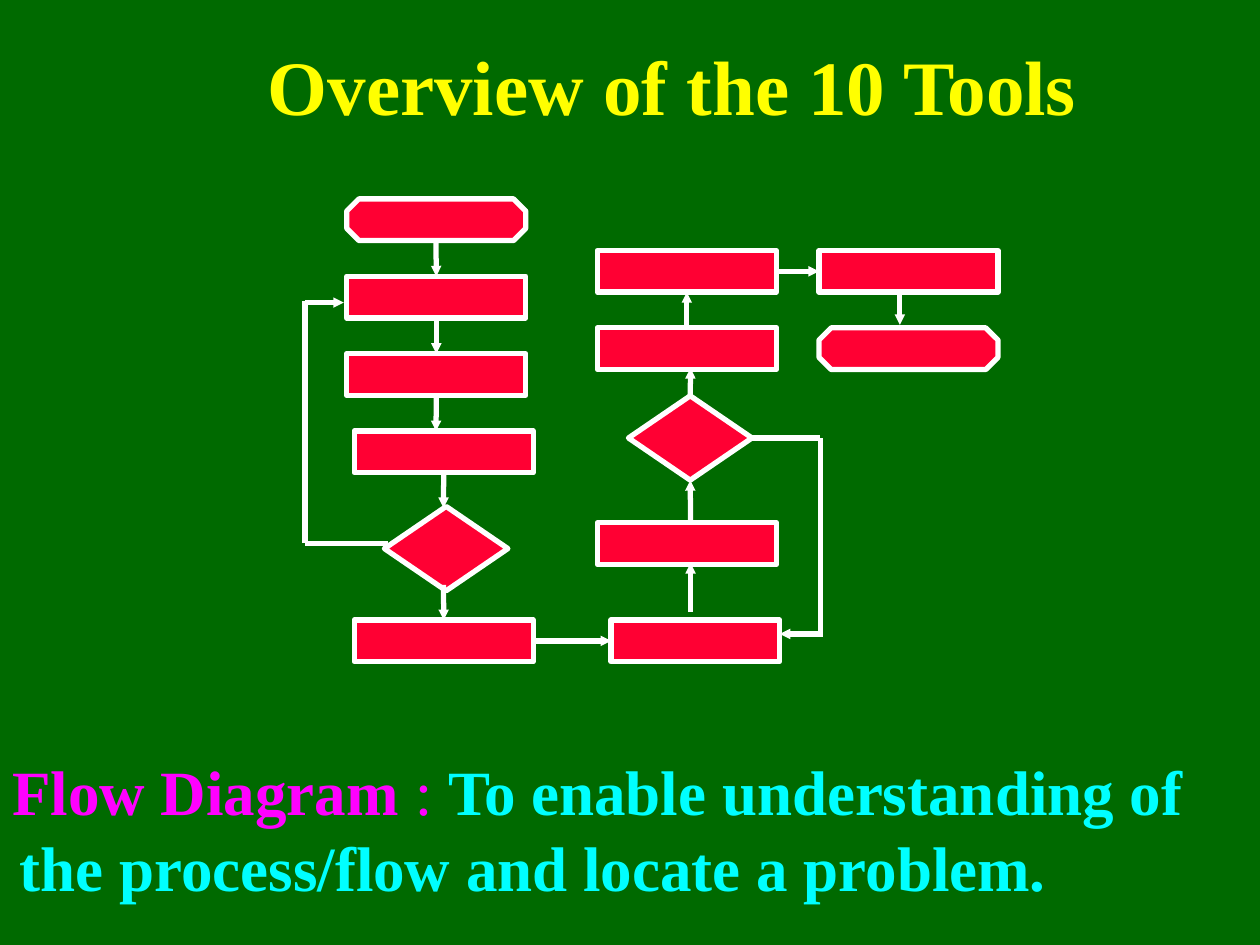
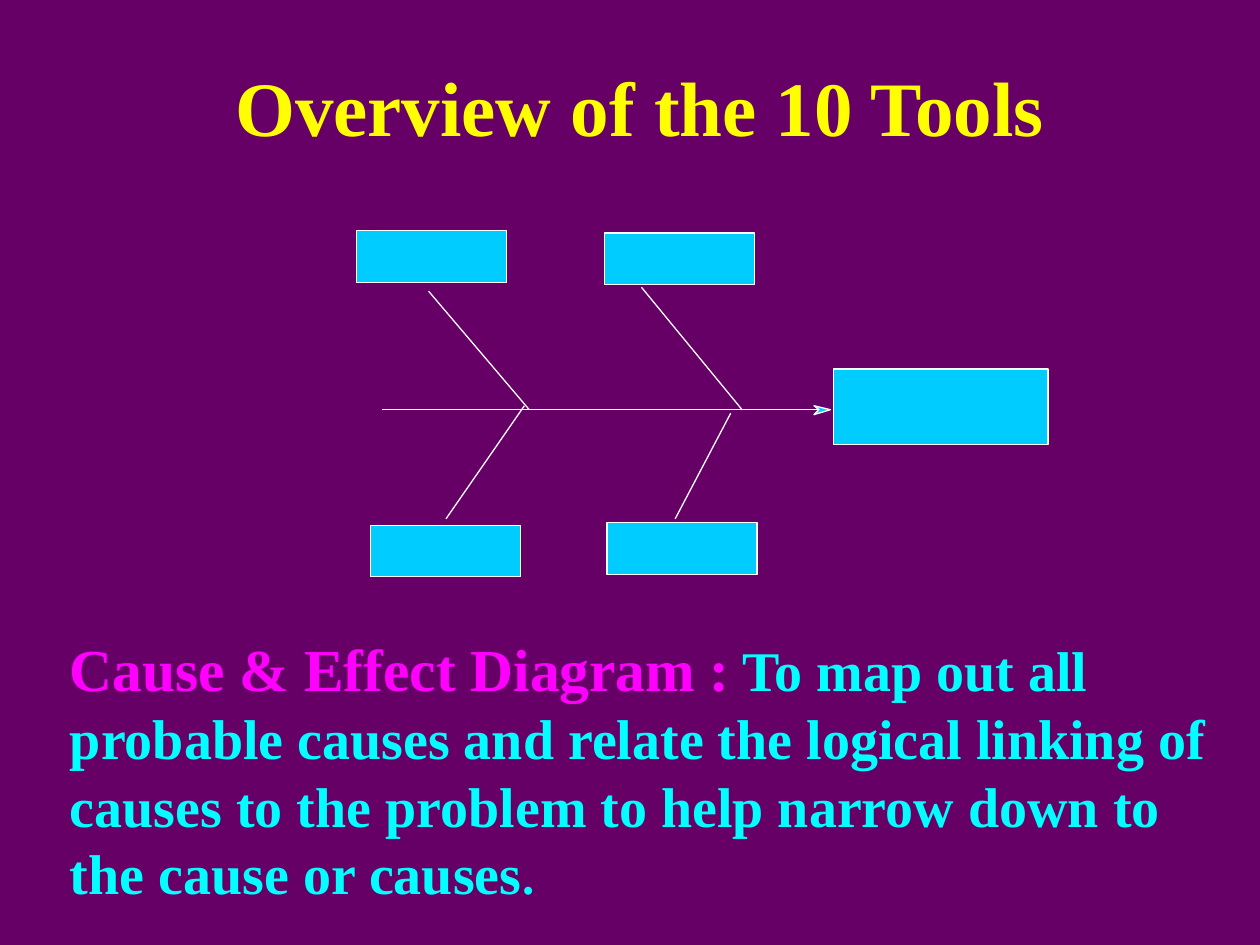
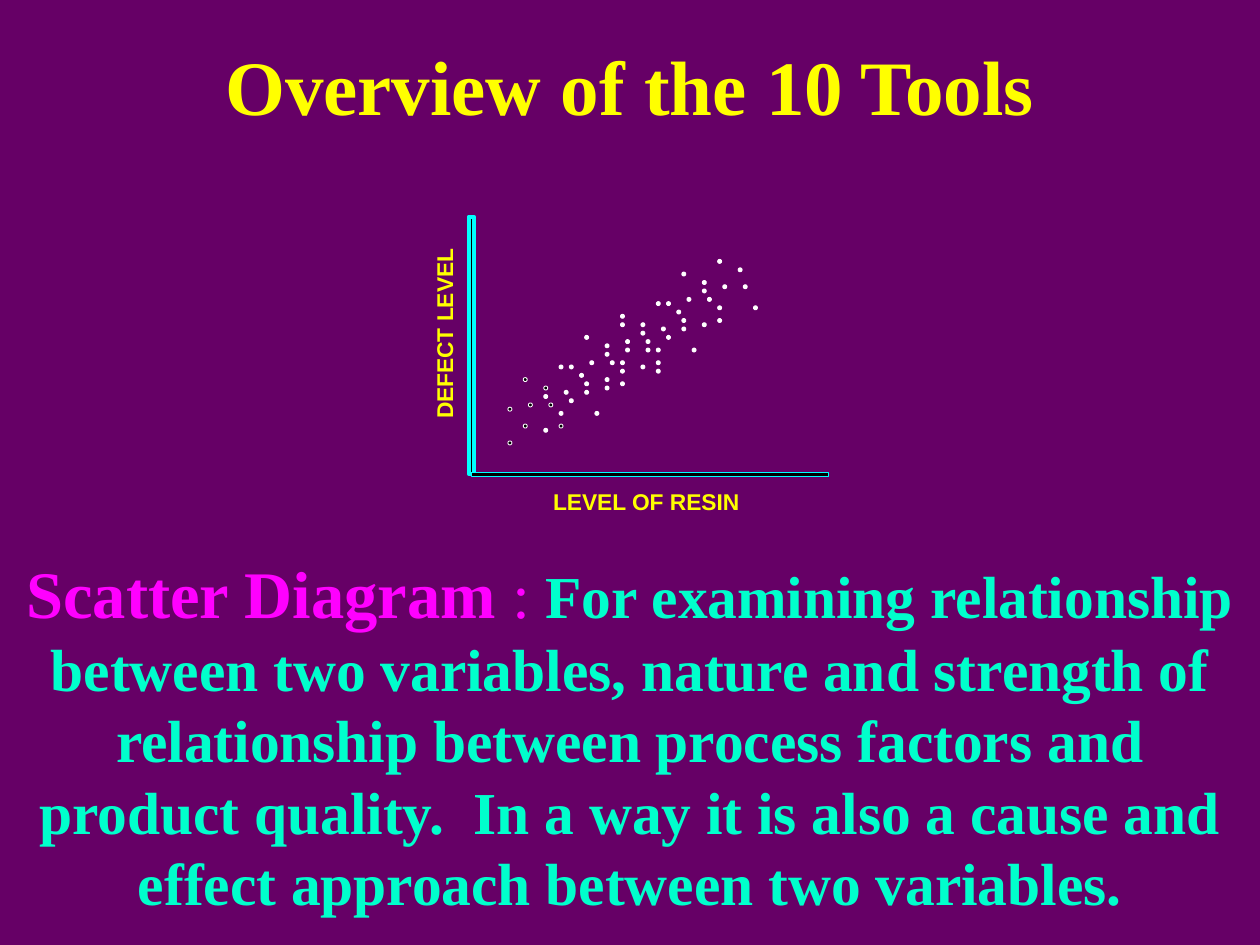
from pptx import Presentation
from pptx.dml.color import RGBColor
from pptx.enum.shapes import MSO_CONNECTOR as Connector, MSO_SHAPE as Preset
from pptx.enum.text import MSO_AUTO_SIZE as AutoSize, PP_ALIGN as Align
from pptx.oxml.ns import qn
from pptx.util import Cm, Pt
from lxml.etree import SubElement

COLORS = {
    "green": "006A00", "purple": "660066", "yellow": "FFFF00", "magenta": "FF00FF",
    "cyan": "00FFFF", "mint": "00FFCC", "red": "FF0033", "sky": "00CCFF",
    "white": "FFFFFF", "black": "000000",
}
SERIF, SANS = "Times New Roman", "Arial"
BOX_SIZE = (3.61, 0.84)
DIAMOND_SIZE = (2.49, 1.7)
ROW_PITCH = 1.56

DOT_CLUSTER = [(10, 4), (0, 8), (3, 4), (0, 0), (3, 15), (8, 9), (7, 13), (4, 9)]
CLUSTER_OFFSETS = [(0, 0), (7, 3), (12, 10), (19, 13), (19, 15), (26, 18), (31, 25), (38, 28)]


def rgb(name):
    """Return the named colour."""
    return RGBColor.from_string(COLORS[name])


def add_slide(presentation, background):
    """Add a blank slide with a plain background."""
    slide = presentation.slides.add_slide(presentation.slide_layouts[6])
    slide.background.fill.solid()
    slide.background.fill.fore_color.rgb = rgb(background)
    return slide


def add_text(slide, box, runs, align=Align.LEFT, font=SERIF, inset=(0.25, 0.13),
             indent=(0, 0), space_after=0, wrap=True):
    """Add a one-paragraph text box; runs are (text, size, colour, bold)."""
    shape = slide.shapes.add_textbox(*map(Cm, box))
    frame = shape.text_frame
    frame.word_wrap = wrap
    frame.auto_size = AutoSize.SHAPE_TO_FIT_TEXT
    frame.margin_left = frame.margin_right = Cm(inset[0])
    frame.margin_top = frame.margin_bottom = Cm(inset[1])
    paragraph = frame.paragraphs[0]
    paragraph.alignment = align
    paragraph.space_after = Pt(space_after)
    properties = paragraph._p.get_or_add_pPr()
    properties.set("marL", str(Cm(indent[0])))
    properties.set("indent", str(Cm(indent[1])))
    paragraph.font.name = font
    for text, size, color, bold in runs:
        run = paragraph.add_run()
        run.text = text
        run.font.size = Pt(size)
        run.font.color.rgb = rgb(color)
        run.font.bold = bold
    return shape


def add_title(slide, left=0, top=0.64, width=25.4, indent=(0, 0)):
    """Add the title that all slides share."""
    add_text(slide, (left, top, width, 2.13), [("Overview of the 10 Tools", 44, "yellow", True)],
             Align.CENTER, indent=indent, space_after=6)


def paint(shape, fill, line, width):
    """Give a shape a flat fill and outline."""
    shape.shadow.inherit = False
    shape.fill.solid()
    shape.fill.fore_color.rgb = rgb(fill)
    shape.line.color.rgb = rgb(line)
    shape.line.width = Pt(width)


def add_box(slide, preset, box, fill, line="white", width=0.75):
    """Add a painted preset shape."""
    shape = slide.shapes.add_shape(preset, *map(Cm, box))
    paint(shape, fill, line, width)
    return shape


def add_line(slide, begin, end, width=0.75, arrow=False):
    """Add a line; each end is a point or a (shape, side) pair."""
    joins = [not isinstance(point[0], (int, float)) for point in (begin, end)]
    start, stop = [(0, 0) if joined else point for joined, point in zip(joins, (begin, end))]
    line = slide.shapes.add_connector(Connector.STRAIGHT, *map(Cm, start + stop))
    if joins[0]:
        line.begin_connect(*begin)
    if joins[1]:
        line.end_connect(*end)
    line.line.color.rgb = rgb("white")
    line.line.width = Pt(width)
    if arrow:
        SubElement(line.line._get_or_add_ln(), qn("a:tailEnd"), type="triangle", w="sm", len="sm")
    SubElement(line._element.spPr, qn("a:effectLst"))


def add_flow_boxes(slide):
    """Draw the flow chart's boxes and return them by name."""
    def row(top, number):
        return top + number * ROW_PITCH

    layout = {
        "start": (Preset.OCTAGON, 6.99, 4.01, BOX_SIZE),
        "first": (Preset.RECTANGLE, 6.99, row(4.01, 1), BOX_SIZE),
        "second": (Preset.RECTANGLE, 6.99, row(4.01, 2), BOX_SIZE),
        "third": (Preset.RECTANGLE, 7.14, row(4.01, 3), BOX_SIZE),
        "left check": (Preset.DIAMOND, 7.75, 10.21, DIAMOND_SIZE),
        "fourth": (Preset.RECTANGLE, 7.14, 12.5, BOX_SIZE),
        "fifth": (Preset.RECTANGLE, 12.32, 12.5, (3.4, 0.84)),
        "sixth": (Preset.RECTANGLE, 12.04, 10.54, BOX_SIZE),
        "right check": (Preset.DIAMOND, 12.67, 7.98, DIAMOND_SIZE),
        "seventh": (Preset.RECTANGLE, 12.04, row(5.05, 1), BOX_SIZE),
        "eighth": (Preset.RECTANGLE, 12.04, 5.05, BOX_SIZE),
        "ninth": (Preset.RECTANGLE, 16.51, 5.05, BOX_SIZE),
        "finish": (Preset.OCTAGON, 16.51, row(5.05, 1), BOX_SIZE),
    }
    boxes = {name: add_box(slide, preset, (left, top, *size), "red", width=3)
             for name, (preset, left, top, size) in layout.items()}
    for name in ("start", "finish"):
        boxes[name].adjustments[0] = 0.293
    return boxes


def build_flow_slide(presentation):
    """Build the flow diagram slide."""
    slide = add_slide(presentation, "green")
    add_title(slide, width=25.2, indent=(1.12, 0.79))
    add_text(slide, (0, 15.04, 25.4, 3.3), [
        ("Flow Diagram", 36, "magenta", True),
        (" : ", 36, "magenta", False),
        ("To enable understanding of the process/flow and locate a problem.", 36, "cyan", True),
    ], indent=(0.15, -0.15))
    boxes = add_flow_boxes(slide)
    top, left, bottom, right = range(4)
    arrows = [
        ((8.79, 4.88), (boxes["first"], top)),
        ((boxes["first"], bottom), (boxes["second"], top)),
        ((boxes["second"], bottom), (8.79, 8.69)),
        ((boxes["third"], bottom), (8.94, 10.24)),
        ((8.94, 11.79), (boxes["fourth"], top)),
        ((boxes["fourth"], right), (boxes["fifth"], left)),
        ((13.92, 12.34), (13.92, 11.35)),
        ((13.92, 10.54), (boxes["right check"], bottom)),
        ((boxes["right check"], top), (13.92, 7.42)),
        ((boxes["seventh"], top), (boxes["eighth"], bottom)),
        ((boxes["eighth"], right), (boxes["ninth"], left)),
        ((18.14, 5.87), (18.14, 6.55)),
        ((6.15, 6.1), (6.93, 6.1)),
        ((16.54, 12.78), (15.72, 12.78)),
    ]
    loops = [
        ((6.15, 10.95), (7.82, 10.95)),
        ((6.15, 10.95), (6.15, 6.07)),
        ((boxes["right check"], right), (16.54, 8.83)),
        ((16.54, 8.83), (16.54, 12.85)),
    ]
    for begin, end in arrows:
        add_line(slide, begin, end, 3, arrow=True)
    for begin, end in loops:
        add_line(slide, begin, end, 3)


def build_cause_slide(presentation):
    """Build the cause and effect slide."""
    slide = add_slide(presentation, "purple")
    add_text(slide, (-2.34, 12.62, 27.3, 5.77), [
        ("Cause & Effect Diagram :", 34, "magenta", True),
        (" ", 28, "black", True),
        ("To map out all probable causes and relate the logical linking of causes to the "
         "problem to help narrow down to the cause or causes", 32, "cyan", True),
        (".", 28, "cyan", True),
    ], indent=(3.5, 0), space_after=7)
    add_title(slide, left=0.2, top=1.07)
    add_box(slide, Preset.RECTANGLE, (16.81, 7.44, 4.32, 1.52), "sky")
    for corner in [(7.19, 4.65), (12.19, 4.7), (7.47, 10.59), (12.24, 10.54)]:
        add_box(slide, Preset.RECTANGLE, (*corner, 3.02, 1.04), "sky")
    spine = ((7.7, 8.26), (16.54, 8.26))
    ribs = [((8.64, 5.87), (10.67, 8.26)), ((12.93, 5.79), (14.96, 8.26)),
            ((8.99, 10.46), (10.57, 8.18)), ((13.61, 10.46), (14.73, 8.33))]
    for begin, end in [spine, *ribs]:
        add_line(slide, begin, end)
    tip, *others = [(Cm(x), Cm(y)) for x, y in
                    [(16.74, 8.26), (16.41, 8.18), (16.51, 8.26), (16.41, 8.36)]]
    builder = slide.shapes.build_freeform(*tip)
    builder.add_line_segments(others, close=True)
    paint(builder.convert_to_shape(), "sky", "white", 0.75)


def add_dots(slide):
    """Draw the dot cluster at each offset, hollow in the first cluster."""
    column_pitch, row_pitch = 4.95 / 48, 3.66 / 43
    drawn = set()
    for across, up in CLUSTER_OFFSETS:
        for column, row in DOT_CLUSTER:
            cell = (column + across, row + up)
            if cell not in drawn:
                drawn.add(cell)
                box = (10.24 + cell[0] * column_pitch, 8.89 - cell[1] * row_pitch, 0.08, 0.08)
                fill = "white" if across else "black"
                add_box(slide, Preset.OVAL, box, fill, width=0.5)


def build_scatter_slide(presentation):
    """Build the scatter diagram slide."""
    slide = add_slide(presentation, "purple")
    add_title(slide)
    add_text(slide, (0, 11, 25.4, 7.62), [
        ("Scatter Diagram", 38, "magenta", True),
        (" : ", 36, "magenta", False),
        ("For examining relationship between two variables, nature and strength of "
         "relationship between process factors and product quality.  In a way it is also "
         "a cause and effect approach between two variables.", 34, "mint", True),
    ], Align.CENTER)
    add_box(slide, Preset.RECTANGLE, (9.45, 4.37, 0.1, 5.18), "black", "cyan", 2.25)
    add_box(slide, Preset.RECTANGLE, (9.5, 9.53, 7.21, 0.08), "black", "cyan")
    labels = [("DEFECT LEVEL", (7.24, 6.45, 3.43, 0.56), 270),
              ("LEVEL OF RESIN", (11.15, 9.83, 3.76, 0.56), 0)]
    for text, box, rotation in labels:
        label = add_text(slide, box, [(text, 13, "yellow", True)], font=SANS,
                         inset=(0, 0), wrap=False)
        label.rotation = rotation
    add_dots(slide)


def main():
    """Build the presentation and save it."""
    presentation = Presentation()
    presentation.slide_width, presentation.slide_height = Cm(25.4), Cm(19.05)
    build_flow_slide(presentation)
    build_cause_slide(presentation)
    build_scatter_slide(presentation)
    presentation.save("out.pptx")


if __name__ == "__main__":
    main()
